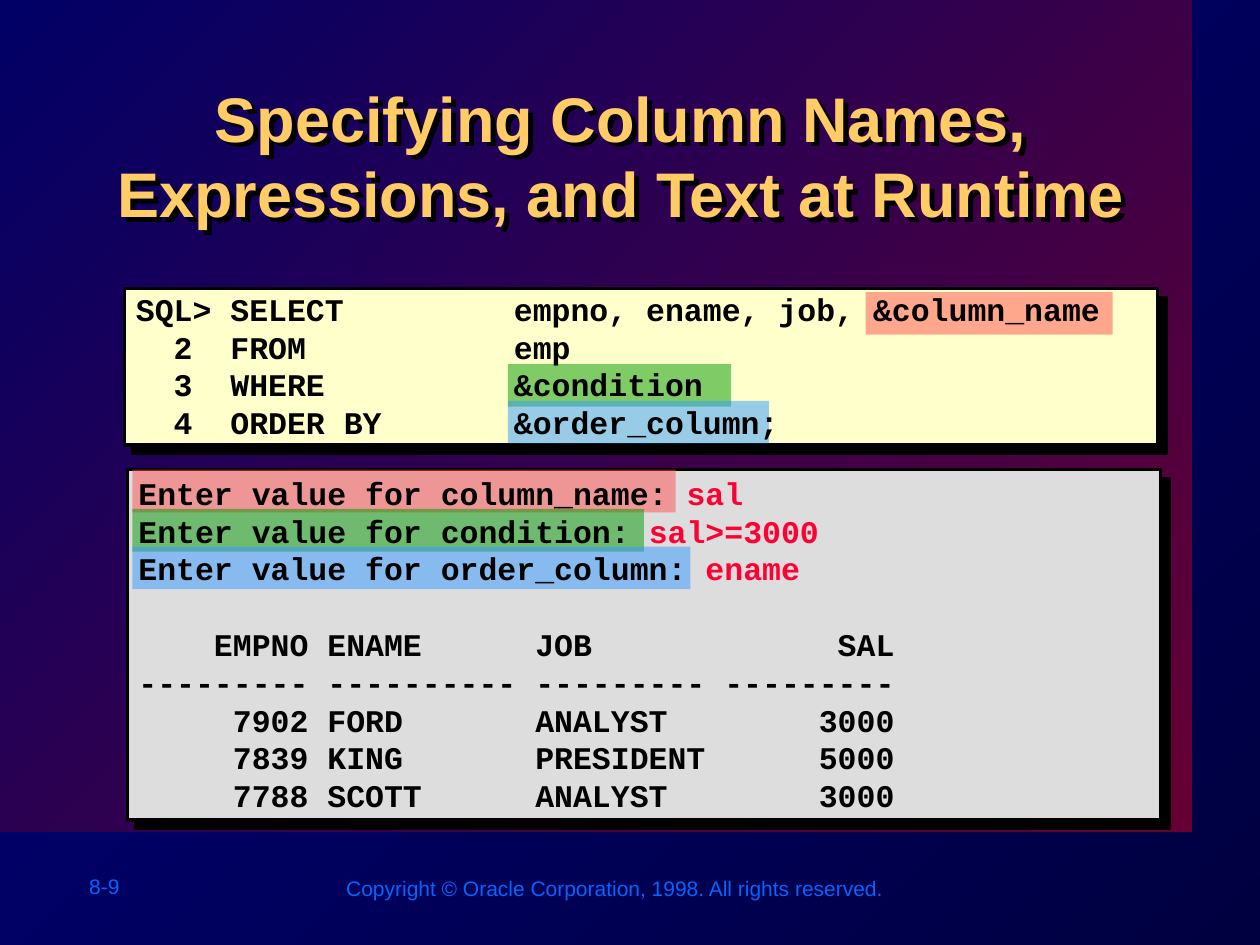
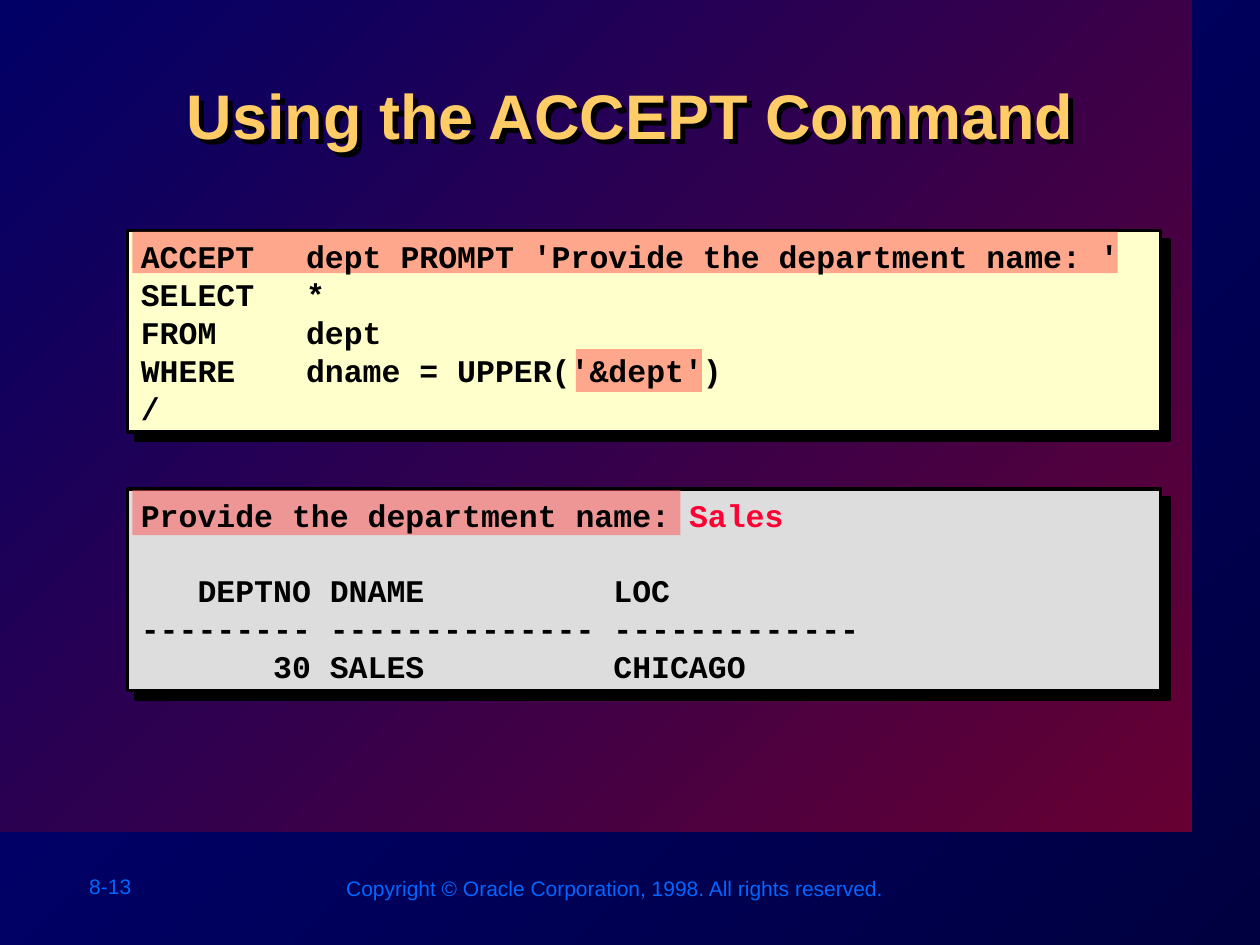
from dataclasses import dataclass

from lxml.etree import SubElement
from pptx import Presentation
from pptx.dml.color import RGBColor as Rgb
from pptx.enum.shapes import MSO_SHAPE as Shape
from pptx.enum.text import MSO_ANCHOR as Anchor, PP_ALIGN as Align
from pptx.oxml.ns import qn
from pptx.util import Cm, Pt


@dataclass(frozen=True)
class Theme:
    background: tuple = ("000080", "000040")
    stage: tuple = ("000066", "660033")
    title: str = "FFCC66"
    footer: str = "0066FF"
    ink: str = "000000"
    answer: str = "FF0033"
    code_fill: str = "FFFFCC"
    output_fill: str = "DDDDDD"
    red: str = "FF5050"
    green: str = "009900"
    blue: str = "3399FF"
    sans: str = "Arial"
    mono: str = "Courier New"
    title_size: int = 36
    code_size: int = 18
    footer_size: int = 12
    leading: float = 1.2
    code_tabs: tuple = (3.33, 5.08, 7.62, 10.16, 12.7, 15.24, 17.78)


THEME = Theme()
COPYRIGHT = "Copyright © Oracle Corporation, 1998. All rights reserved."


def write(paragraph, text, size, color, font=THEME.sans, bold=False):
    run = paragraph.add_run()
    run.text = text
    run.font.size = Pt(size)
    run.font.name = font
    run.font.bold = bold
    run.font.color.rgb = Rgb.from_string(color)
    paragraph.line_spacing = Pt(size * THEME.leading)


def fill_gradient(fill, colors):
    fill.gradient()
    fill.gradient_angle = 315
    for stop, color in zip(fill.gradient_stops, colors):
        stop.color.rgb = Rgb.from_string(color)


def cast_shadow(shape, distance):
    shape.shadow.inherit = False
    effects = shape._element.spPr.find(qn("a:effectLst"))
    shadow = SubElement(effects, qn("a:outerShdw"), blurRad="0", dist=str(Pt(distance)),
                        dir="2700000", algn="ctr", rotWithShape="0")
    SubElement(shadow, qn("a:srgbClr"), val=THEME.ink)


def add_tabs(paragraph):
    tabs = SubElement(paragraph._p.get_or_add_pPr(), qn("a:tabLst"))
    for position in THEME.code_tabs:
        SubElement(tabs, qn("a:tab"), pos=str(Cm(position)), algn="l")


class Deck:
    """Builds slides in the shared style, one element at a time."""

    def __init__(self):
        self.presentation = Presentation()
        self.presentation.slide_width = Cm(25.4)
        self.presentation.slide_height = Cm(19.05)
        self.slide = None

    def start_slide(self, number):
        self.slide = self.presentation.slides.add_slide(self.presentation.slide_layouts[6])
        fill_gradient(self.slide.background.fill, THEME.background)
        stage = self.rectangle(0, 0, 24.03, 16.76)
        fill_gradient(stage.fill, THEME.stage)
        self.footer(number, 1.55, 17.48, 2.82)
        self.footer(COPYRIGHT, 6.73, 17.53, 12)

    def rectangle(self, left, top, width, height, color=None):
        shape = self.slide.shapes.add_shape(Shape.RECTANGLE, Cm(left), Cm(top), Cm(width), Cm(height))
        shape.shadow.inherit = False
        shape.line.fill.background()
        if color:
            shape.fill.solid()
            shape.fill.fore_color.rgb = Rgb.from_string(color)
        return shape

    def text_box(self, left, top, width, height):
        box = self.slide.shapes.add_textbox(Cm(left), Cm(top), Cm(width), Cm(height))
        box.text_frame.word_wrap = True
        return box

    def footer(self, text, left, top, width):
        box = self.text_box(left, top, width, 0.76)
        write(box.text_frame.paragraphs[0], text, THEME.footer_size, THEME.footer)

    def title(self, text, left, top, width):
        box = self.text_box(left, top, width, 2.44)
        cast_shadow(box, 4)
        paragraph = box.text_frame.paragraphs[0]
        paragraph.alignment = Align.CENTER
        write(paragraph, text, THEME.title_size, THEME.title, bold=True)

    def panel(self, top, height, color, left=2.57):
        panel = self.rectangle(left, top, 20.83, height, color)
        panel.line.color.rgb = Rgb.from_string(THEME.ink)
        panel.line.width = Pt(2)
        cast_shadow(panel, 7.1)

    def highlight(self, left, top, width, color, height=0.86):
        band = self.rectangle(left, top, width, height, color)
        rgb = band._element.spPr.find(qn("a:solidFill")).find(qn("a:srgbClr"))
        SubElement(rgb, qn("a:alpha"), val="50000")

    def listing(self, lines, left, top, height):
        frame = self.text_box(left, top, 20.83, height).text_frame
        frame.vertical_anchor = Anchor.MIDDLE
        frame.margin_top = frame.margin_bottom = 0
        paragraph, gap = frame.paragraphs[0], 0
        for index, line in enumerate(lines):
            if not line:
                gap += THEME.code_size * THEME.leading
                continue
            if index:
                paragraph = frame.add_paragraph()
            add_tabs(paragraph)
            if gap:
                paragraph.space_before = Pt(gap)
                gap = 0
            parts = (line,) if isinstance(line, str) else line
            for text, color in zip(parts, (THEME.ink, THEME.answer)):
                write(paragraph, text, THEME.code_size, color, font=THEME.mono, bold=True)


def build_runtime_slide(deck):
    deck.start_slide("8-9")
    deck.title("Specifying Column Names, Expressions, and Text at Runtime", 1.98, 1.47, 21.08)

    deck.panel(5.82, 3.15, THEME.code_fill, left=2.51)
    deck.highlight(17.45, 5.89, 4.98, THEME.red)
    deck.highlight(10.24, 7.34, 4.5, THEME.green)
    deck.highlight(10.24, 8.08, 5.26, THEME.blue)
    deck.listing([
        "SQL> SELECT\t\tempno, ename, job, &column_name",
        "  2  FROM\t\temp",
        "  3  WHERE\t\t&condition",
        "  4  ORDER BY\t\t&order_column;",
    ], 2.49, 5.79, 3.15)

    deck.panel(9.47, 7.06, THEME.output_fill)
    deck.highlight(2.67, 9.47, 10.95, THEME.red)
    deck.highlight(2.67, 10.26, 10.31, THEME.green)
    deck.highlight(2.67, 11.02, 11.25, THEME.blue)
    deck.listing([
        ("Enter value for column_name: ", "sal"),
        ("Enter value for condition: ", "sal>=3000"),
        ("Enter value for order_column: ", "ename"),
        "",
        "    EMPNO ENAME      JOB             SAL",
        "--------- ---------- --------- ---------",
        "     7902 FORD       ANALYST        3000",
        "     7839 KING       PRESIDENT      5000",
        "     7788 SCOTT      ANALYST        3000",
    ], 2.54, 9.45, 7.06)


def build_accept_slide(deck):
    deck.start_slide("8-13")
    deck.title("Using the ACCEPT Command", 2.57, 1.42, 20.27)

    deck.panel(4.65, 4.06, THEME.code_fill)
    deck.highlight(11.61, 7.04, 2.54, THEME.red)
    deck.highlight(2.67, 4.67, 19.86, THEME.red, height=0.84)
    deck.listing([
        "ACCEPT \tdept PROMPT 'Provide the department name: '",
        "SELECT \t*",
        "FROM   \tdept",
        "WHERE  \tdname = UPPER('&dept')",
        "/",
    ], 2.59, 4.66, 4.06)

    deck.panel(9.86, 4.06, THEME.output_fill)
    deck.highlight(2.67, 9.88, 11.05, THEME.red, height=0.91)
    deck.listing([
        ("Provide the department name: ", "Sales"),
        "",
        "   DEPTNO DNAME          LOC",
        "--------- -------------- -------------",
        "       30 SALES          CHICAGO",
    ], 2.59, 9.87, 4.06)


def main():
    deck = Deck()
    build_runtime_slide(deck)
    build_accept_slide(deck)
    deck.presentation.save("out.pptx")


if __name__ == "__main__":
    main()
